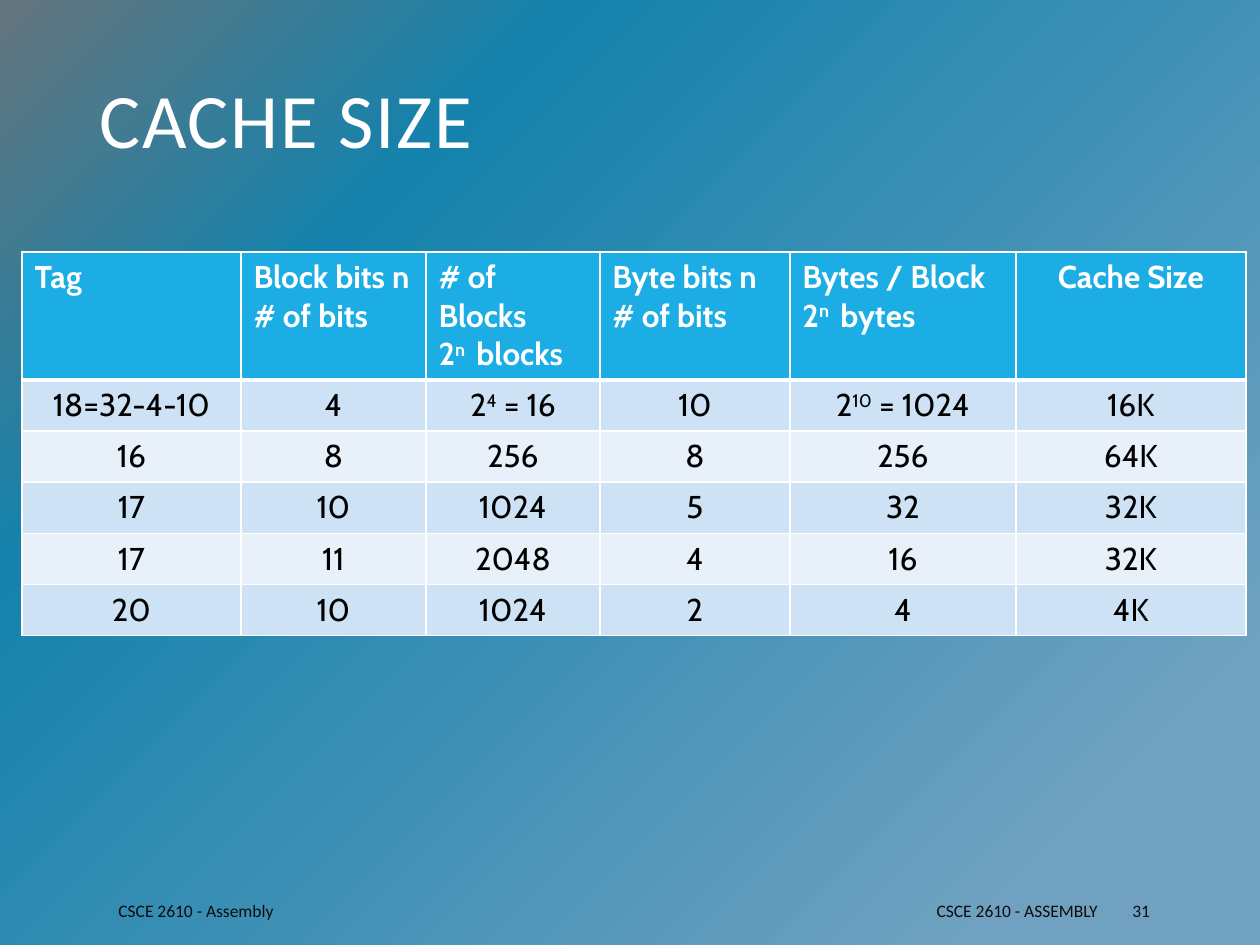
from lxml import etree
from pptx import Presentation
from pptx.dml.color import RGBColor
from pptx.enum.text import MSO_ANCHOR, PP_ALIGN
from pptx.oxml.ns import qn
from pptx.util import Pt

MID = MSO_ANCHOR.MIDDLE
LEFT, CENTER, RIGHT = PP_ALIGN.LEFT, PP_ALIGN.CENTER, PP_ALIGN.RIGHT
SCALE = 914400 / 126
WHITE, BLACK, INK = "FFFFFF", "000000", "0D0D0D"
HEAD, BANDS = "1CADE4", ("CDE3F5", "E8F1FA")
STOPS = ((13, "70A1C0"), (74, "1482AC"), (100, "65757D"))
COLS = (219, 185, 174, 190, 226, 230)
ROW = 51
ROWS = (
    ("Tag", "Block bits n # of bits", "# of Blocks\n2^n ^ blocks",
     "Byte bits n\n# of bits", "Bytes / Block\n2^n ^ bytes", "Cache Size"),
    ("18=32-4-10", "4", "2^4^ = 16", "10", "2^10^ = 1024", "16K"),
    ("16", "8", "256", "8", "256", "64K"),
    ("17", "10", "1024", "5", "32", "32K"),
    ("17", "11", "2048", "4", "16", "32K"),
    ("20", "10", "1024", "2", "4", "4K"),
)
FOOTS = (
    ("CSCE 2610 - Assembly", 106, 223, LEFT),
    ("CSCE 2610 - ASSEMBLY", 500, 610, RIGHT),
    ("31", 1120, 101, LEFT),
)


def px(num):
    """Turn pixels into EMU."""
    return round(num * SCALE)


def rgb(code):
    """Turn a hex string into a colour."""
    return RGBColor.from_string(code)


def style(run, face, size, color, bold=False):
    """Format one run."""
    font = run.font
    font.name, font.size, font.bold = face, Pt(size), bold
    font.color.rgb = rgb(color)


def sub(parent, tag, **attrs):
    """Add a DrawingML child element."""
    return etree.SubElement(parent, qn("a:" + tag), attrs)


def paint(slide):
    """Give the slide its radial gradient from the lower right corner."""
    slide.background.fill.solid()
    solid = next(slide.element.iter(qn("a:solidFill")))
    grad = etree.Element(qn("a:gradFill"), rotWithShape="1")
    stops = sub(grad, "gsLst")
    for pos, color in STOPS:
        stop = sub(stops, "gs", pos=str(pos * 1000))
        sub(stop, "srgbClr", val=color)
    way = sub(grad, "path", path="circle")
    sub(way, "fillToRect", l="100000", t="100000")
    solid.getparent().replace(solid, grad)


def title(slide, text):
    """Place and format the title."""
    box = slide.shapes.title
    box.left, box.top, box.width, box.height = map(px, (87, 50, 1086, 152))
    frame = box.text_frame
    frame.text = text
    frame.vertical_anchor = MID
    para = frame.paragraphs[0]
    para.alignment, para.line_spacing = LEFT, 0.8
    run = para.runs[0]
    style(run, "Calibri", 44, WHITE)
    run.font._element.set("spc", "100")


def edge(cell, side, width):
    """Draw one white cell border."""
    line = sub(cell._tc.get_or_add_tcPr(), "ln" + side, w=str(Pt(width)))
    sub(sub(line, "solidFill"), "srgbClr", val=WHITE)


def fill(cell, text, row, col):
    """Write and format one table cell, with superscripts between carets."""
    head = row == 0
    for side in "LRTB":
        thick = (row, side) in ((0, "B"), (1, "T"))
        edge(cell, side, 3 if thick else 1)
    cell.fill.solid()
    cell.fill.fore_color.rgb = rgb(HEAD if head else BANDS[(row - 1) % 2])
    frame = cell.text_frame
    frame.text = text.replace("^", "")
    for para, line in zip(frame.paragraphs, text.split("\n")):
        para.alignment = LEFT if head and col < len(COLS) - 1 else CENTER
        para.text = ""
        for num, part in enumerate(line.split("^")):
            run = para.add_run()
            run.text = part
            style(run, "Cabin", 18, WHITE if head else BLACK, head)
            if num % 2:
                run.font._element.set("baseline", "30000")


def grid(slide):
    """Build the cache size table."""
    frame = slide.shapes.add_table(
        len(ROWS), len(COLS), px(22), px(252), px(sum(COLS)), px(344))
    table = frame.table
    for col, width in zip(table.columns, COLS):
        col.width = px(width)
    for row, texts in enumerate(ROWS):
        table.rows[row].height = px(ROW)
        for col, text in enumerate(texts):
            fill(table.cell(row, col), text, row, col)
    frame.height = px(344)


def foot(slide, text, left, width, align):
    """Add one footer text."""
    box = slide.shapes.add_textbox(px(left), px(892), px(width), px(38))
    frame = box.text_frame
    frame.word_wrap = True
    frame.vertical_anchor = MID
    frame.text = text
    para = frame.paragraphs[0]
    para.alignment = align
    style(para.runs[0], "Calibri", 10, INK)


def main():
    """Build and save the slide."""
    deck = Presentation()
    deck.slide_width, deck.slide_height = px(1260), px(945)
    slide = deck.slides.add_slide(deck.slide_layouts[5])
    paint(slide)
    grid(slide)
    title(slide, "CACHE SIZE")
    for item in FOOTS:
        foot(slide, *item)
    deck.save("out.pptx")


if __name__ == "__main__":
    main()
